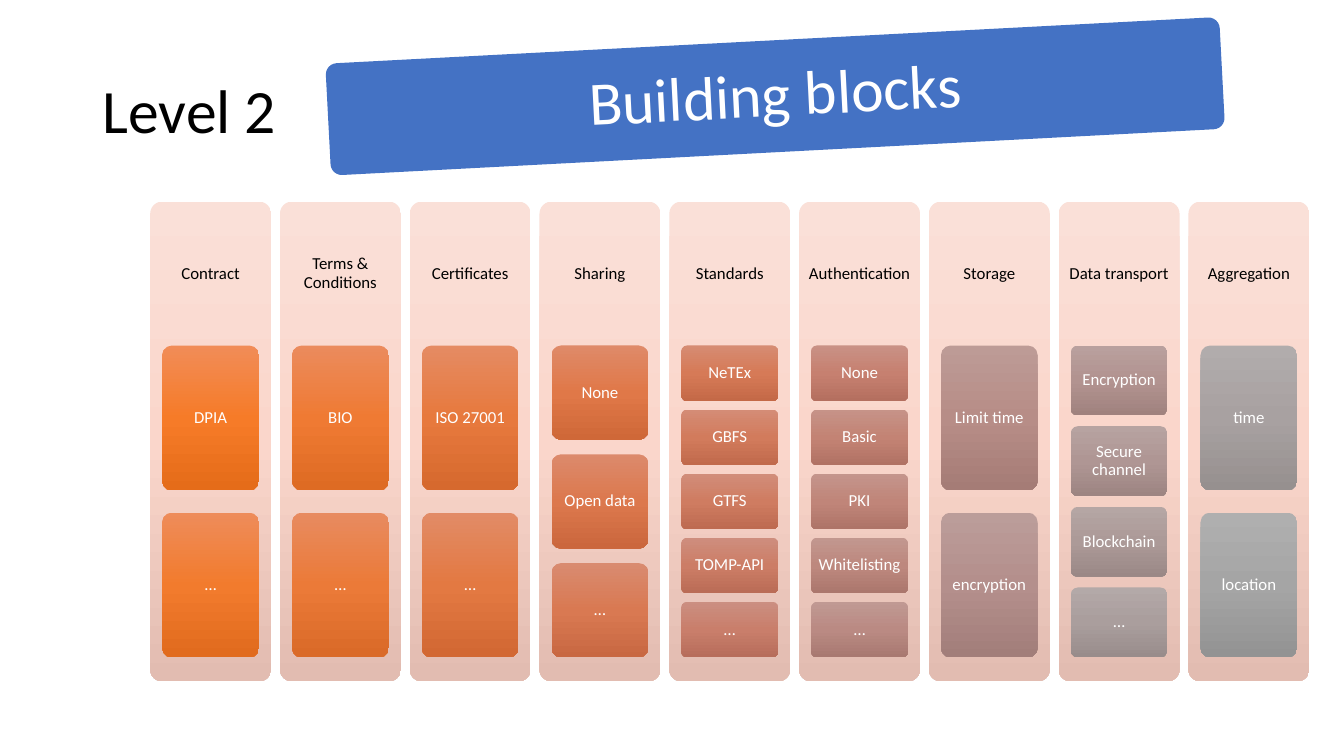
from copy import deepcopy

from pptx import Presentation
from pptx.dml.color import RGBColor
from pptx.enum.shapes import MSO_SHAPE as Preset
from pptx.enum.text import MSO_ANCHOR as Anchor, PP_ALIGN as Align
from pptx.oxml.ns import qn
from pptx.util import Inches, Pt

# Grid of the columns, in inches
LEFT, TOP, PITCH = 1.49, 2, 1.2875
PANEL_WIDTH, PANEL_HEIGHT = 1.2, 4.76
HEADER_HEIGHT = 0.3 * PANEL_HEIGHT
TILES_HEIGHT = 0.65 * PANEL_HEIGHT
GAP_SHARE = 2 / 13  # gap between tiles, as a share of a tile's height

PANEL_COLOURS = ["FAE0D8", "FAD6CB", "E2BCB1"]
# Tile number: top, middle and bottom colours; tiles between are blended
TILE_COLOURS = {
    0: ["F18C57", "F67B28", "E56C19"],
    7: ["DC8A6C", "DC784D", "CB673D"],
    13: ["CB8F81", "C97E6B", "B76D5B"],
    20: ["BB9D9A", "B48F8C", "A27E7A"],
    26: ["AFAFAF", "A5A5A5", "939393"],
}
COLUMNS = {
    "Contract": ["DPIA", "…"],
    "Terms & Conditions": ["BIO", "…"],
    "Certificates": ["ISO 27001", "…"],
    "Sharing": ["None", "Open data", "…"],
    "Standards": ["NeTEx", "GBFS", "GTFS", "TOMP-API", "…"],
    "Authentication": ["None", "Basic", "PKI", "Whitelisting", "…"],
    "Storage": ["Limit time", "encryption"],
    "Data transport": ["Encryption", "Secure channel", "Blockchain", "…"],
    "Aggregation": ["time", "location"],
}

presentation = Presentation()
presentation.slide_width, presentation.slide_height = Inches(13.333), Inches(7.5)
slide = presentation.slides.add_slide(presentation.slide_layouts[6])


def add_block(box, colours=()):
    """Add a rounded block with a plain or three-stop fill, or a text box without colours."""
    box = [Inches(length) for length in box]
    if not colours:
        return slide.shapes.add_textbox(*box)
    shape = slide.shapes.add_shape(Preset.ROUNDED_RECTANGLE, *box)
    shape.adjustments[0] = 0.1
    shape.shadow.inherit = False
    shape.line.fill.background()
    if len(colours) == 1:
        shape.fill.solid()
        shape.fill.fore_color.rgb = RGBColor.from_string(colours[0])
        return shape
    shape.fill.gradient()
    shape.fill.gradient_angle = 270
    stop_list = next(shape.element.iter(qn("a:gsLst")))
    stop_list.append(deepcopy(stop_list[0]))
    for stop, position, colour in zip(shape.fill.gradient_stops, (0, 0.5, 1), colours):
        stop.position = position
        stop.color.rgb = RGBColor.from_string(colour)
    return shape


def write(shape, text, colour, size=12, inset=0.03, alignment=Align.CENTER):
    """Write one vertically centred paragraph in a shape."""
    frame = shape.text_frame
    frame_format = {"word_wrap": True, "vertical_anchor": Anchor.MIDDLE}
    for side in ("left", "right", "top", "bottom"):
        frame_format[f"margin_{side}"] = Inches(inset)
    for name, value in frame_format.items():
        setattr(frame, name, value)
    paragraph = frame.paragraphs[0]
    paragraph.alignment, paragraph.line_spacing = alignment, 0.9
    run = paragraph.add_run()
    run.text = text
    run.font.name, run.font.size = "Calibri", Pt(size)
    run.font.color.rgb = RGBColor.from_string(colour)


title = add_block((0.92, 0.4, 11.5, 1.45))
write(title, "Level 2", "000000", size=44, inset=0.1, alignment=Align.LEFT)

# Blend the colours of all tiles, from orange to grey
tile_fills = []
anchors = list(TILE_COLOURS)
for start, end in zip(anchors, anchors[1:]):
    for number in range(start, end):
        share = (number - start) / (end - start)
        fill = []
        for first, last in zip(TILE_COLOURS[start], TILE_COLOURS[end]):
            channels = zip(bytes.fromhex(first), bytes.fromhex(last))
            fill.append(bytes(round(a + (b - a) * share) for a, b in channels).hex())
        tile_fills.append(fill)
tile_fills.append(TILE_COLOURS[anchors[-1]])
next_fill = iter(tile_fills)

for column, (heading, tiles) in enumerate(COLUMNS.items()):
    left = LEFT + column * PITCH
    add_block((left, TOP, PANEL_WIDTH, PANEL_HEIGHT), PANEL_COLOURS)
    header = add_block((left, TOP, PANEL_WIDTH, HEADER_HEIGHT))
    write(header, heading, "000000", inset=0.05)

    count = len(tiles)
    height = TILES_HEIGHT / (count + (count - 1) * GAP_SHARE)
    for row, label in enumerate(tiles):
        top = TOP + HEADER_HEIGHT + row * height * (1 + GAP_SHARE)
        box = (left + 0.1 * PANEL_WIDTH, top, 0.8 * PANEL_WIDTH, height)
        write(add_block(box, next(next_fill)), label, "FFFFFF")

banner = add_block((3.25, 0.4, 8.88, 1.11), ["4472C4"])
banner.rotation = -3
write(banner, "Building blocks", "FFFFFF", size=44, inset=0.18)

presentation.save("out.pptx")
